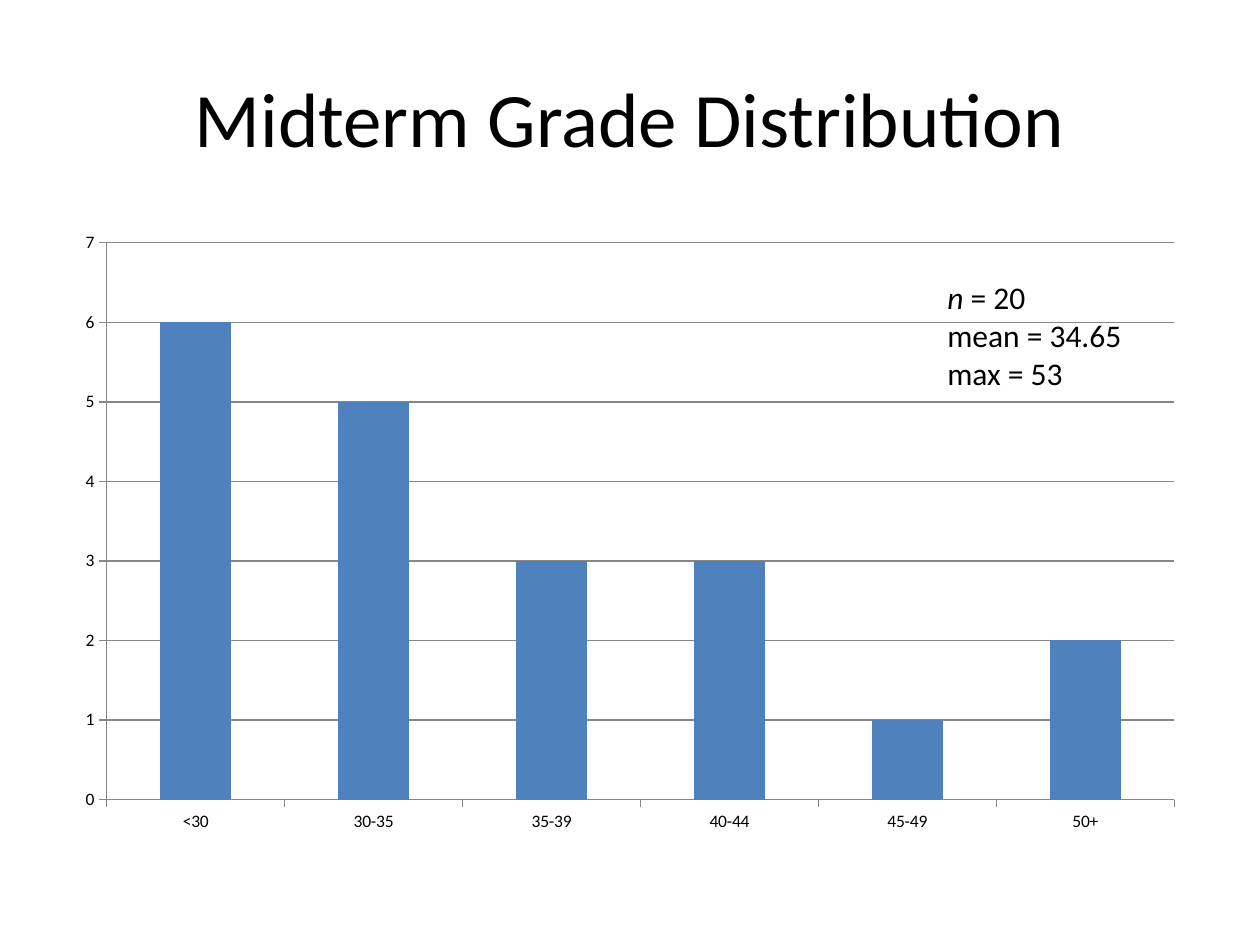
from dataclasses import dataclass

from pptx import Presentation
from pptx.chart.data import CategoryChartData
from pptx.dml.color import RGBColor
from pptx.enum.chart import XL_CHART_TYPE, XL_TICK_MARK
from pptx.enum.text import MSO_ANCHOR, MSO_AUTO_SIZE, PP_ALIGN
from pptx.util import Inches, Pt

COLUMNS = XL_CHART_TYPE.COLUMN_CLUSTERED
OUTSIDE, NO_TICK = XL_TICK_MARK.OUTSIDE, XL_TICK_MARK.NONE
MIDDLE, TOP = MSO_ANCHOR.MIDDLE, MSO_ANCHOR.TOP
CENTER, LEFT = PP_ALIGN.CENTER, PP_ALIGN.LEFT
GROW = MSO_AUTO_SIZE.SHAPE_TO_FIT_TEXT


@dataclass(frozen=True)
class Theme:
    font: str = "Calibri"
    ink: RGBColor = RGBColor(0, 0, 0)
    bar: RGBColor = RGBColor(0x4F, 0x81, 0xBD)
    rule: RGBColor = RGBColor(0x87, 0x87, 0x87)
    title_size: int = 44
    stats_size: int = 18
    chart_size: int = 10


THEME = Theme()
TITLE = [[("Midterm Grade Distribution", False)]]
GRADES = {"<30": 6, "30-35": 5, "35-39": 3, "40-44": 3, "45-49": 1, "50+": 2}
STATISTICS = [
    [("n", True), (" = 20", False)],
    [("mean = 34.65", False)],
    [("max = 53", False)],
]


def style_font(font, size):
    font.name = THEME.font
    font.size = Pt(size)
    font.color.rgb = THEME.ink


def style_rule(line):
    line.color.rgb = THEME.rule
    line.width = Pt(0.75)


def add_text(slide, box, lines, size, align, anchor, wrap):
    frame = slide.shapes.add_textbox(*map(Inches, box)).text_frame
    frame.word_wrap = wrap
    frame.vertical_anchor = anchor
    if not wrap:
        frame.auto_size = GROW
    for index, line in enumerate(lines):
        paragraph = frame.paragraphs[0] if index == 0 else frame.add_paragraph()
        paragraph.alignment = align
        for words, italic in line:
            run = paragraph.add_run()
            run.text = words
            style_font(run.font, size)
            run.font.italic = italic


def add_histogram(slide, box):
    data = CategoryChartData()
    data.categories = list(GRADES)
    data.add_series("Series 1", list(GRADES.values()))
    histogram = slide.shapes.add_chart(COLUMNS, *map(Inches, box), data).chart
    histogram.has_legend = False
    histogram.has_title = False
    style_font(histogram.font, THEME.chart_size)

    bars = histogram.plots[0]
    bars.gap_width = 150
    bars.vary_by_categories = False
    bars.series[0].format.fill.solid()
    bars.series[0].format.fill.fore_color.rgb = THEME.bar

    counts = histogram.value_axis
    for axis in (histogram.category_axis, counts):
        axis.major_tick_mark = OUTSIDE
        axis.minor_tick_mark = NO_TICK
        style_rule(axis.format.line)
    counts.minimum_scale, counts.maximum_scale, counts.major_unit = 0, 7, 1
    counts.has_major_gridlines = True
    style_rule(counts.major_gridlines.format.line)


deck = Presentation()
deck.slide_width, deck.slide_height = Inches(10), Inches(7.5)
slide = deck.slides.add_slide(deck.slide_layouts[6])
add_text(slide, (0.5, 0.3, 9, 1.25), TITLE, THEME.title_size, CENTER, MIDDLE, True)
add_histogram(slide, (0.5, 1.75, 9, 4.95))
add_text(slide, (7.42, 2.16, 1.6, 1.01), STATISTICS, THEME.stats_size, LEFT, TOP, False)
deck.save("out.pptx")
